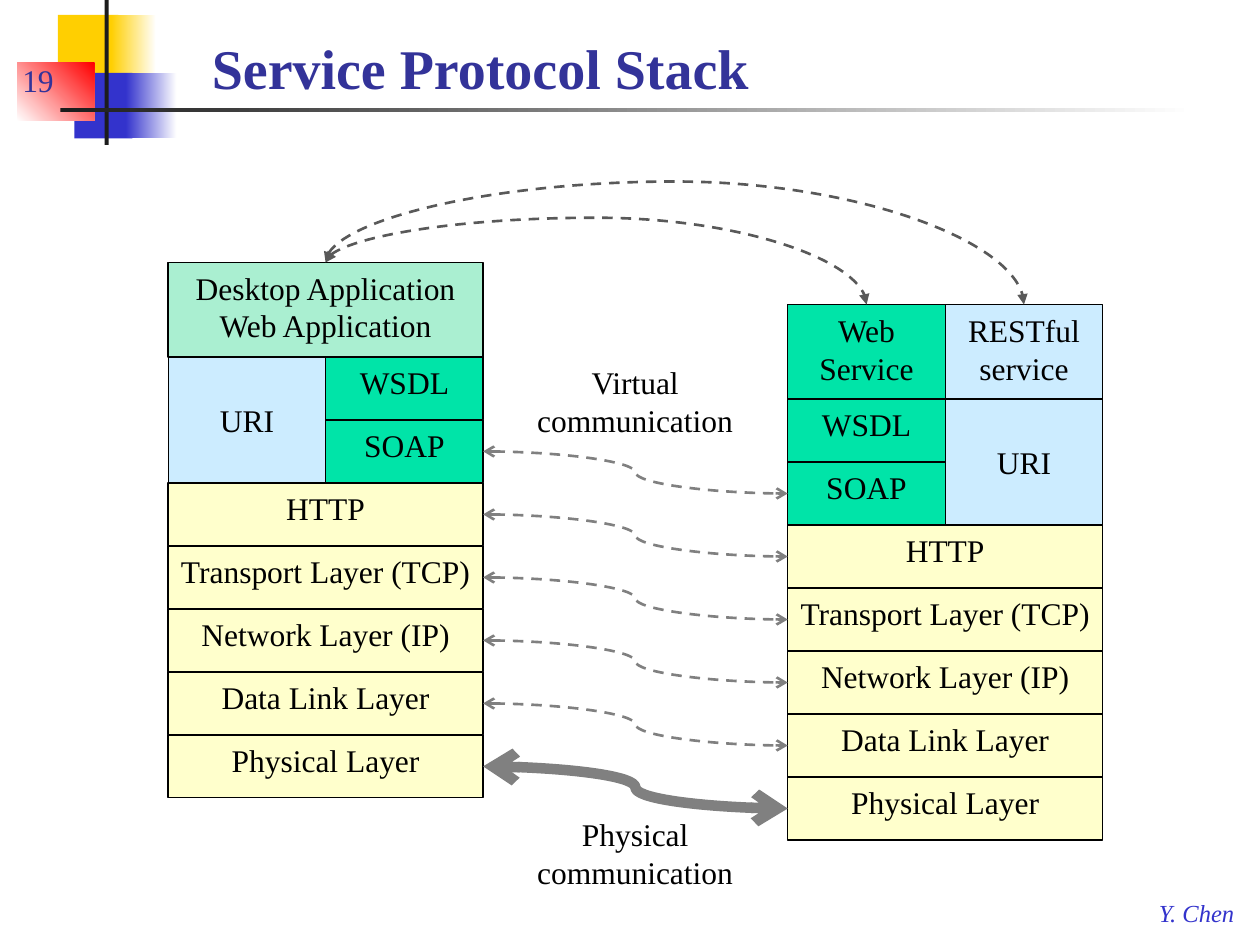
from dataclasses import dataclass

from pptx import Presentation
from pptx import util as u
from pptx.dml.color import RGBColor
from pptx.enum import dml, shapes, text
from pptx.oxml import ns
from lxml import etree


@dataclass(frozen=True)
class Theme:
    font: str = "Times New Roman"
    title_size: int = 32
    body_size: int = 18
    footer_size: int = 14
    ink: str = "000000"
    title: str = "333399"
    white: str = "FFFFFF"
    yellow: str = "FFCF01"
    blue: str = "3333CC"
    red: str = "FF0000"
    bar: str = "1C1C1C"
    network: str = "FFFFCC"
    soap: str = "00E4A8"
    rest: str = "CCECFF"
    application: str = "AAEFD1"
    link: str = "808080"
    arc: str = "595959"


THEME = Theme()

# left, top, width, height in cm; colours; gradient angle
DECORATION = [
    (1.17, 0.3, 1.22, 1.32, [THEME.yellow], 0),
    (2.24, 0.3, 0.91, 1.32, [THEME.yellow, THEME.white], 0),
    (1.5, 1.47, 1.17, 1.32, [THEME.blue], 0),
    (2.54, 1.47, 1.02, 1.32, [THEME.blue, THEME.white], 0),
    (0.35, 1.27, 1.55, 1.17, [THEME.white, THEME.red], 45),
    (2.11, 0, 0.08, 2.92, [THEME.bar], 0),
    (1.22, 2.18, 22.86, 0.08, [THEME.bar, THEME.white], 0),
]

ROW, COLUMN_COUNT, STACK_WIDTH = 1.27, 2, 6.35
COLUMN = STACK_WIDTH / COLUMN_COUNT
TOP_ROWS, MIDDLE_ROWS = 1.5, 2
SHARED_LAYERS = ["HTTP", "Transport Layer (TCP)", "Network Layer (IP)",
                 "Data Link Layer", "Physical Layer"]

# label, colour, first column, columns, first row, rows
CLIENT = [
    ("Desktop Application\nWeb Application", THEME.application, 0, 2, 0, TOP_ROWS),
    ("URI", THEME.rest, 0, 1, TOP_ROWS, MIDDLE_ROWS),
    ("WSDL", THEME.soap, 1, 1, TOP_ROWS, 1),
    ("SOAP", THEME.soap, 1, 1, TOP_ROWS + 1, 1),
]
SERVER = [
    ("Web Service", THEME.soap, 0, 1, 0, TOP_ROWS),
    ("RESTful service", THEME.rest, 1, 1, 0, TOP_ROWS),
    ("WSDL", THEME.soap, 0, 1, TOP_ROWS, 1),
    ("SOAP", THEME.soap, 0, 1, TOP_ROWS + 1, 1),
    ("URI", THEME.rest, 1, 1, TOP_ROWS, MIDDLE_ROWS),
]
ARCS = [("Web Service", 0.9), ("RESTful service", 1.63)]  # target, rise in cm
CAPTIONS = [("Physical communication", 16.3), ("Virtual communication", 7.2)]


def place(left, top, width, height):
    return [u.Cm(value) for value in (left, top, width, height)]


def write(shape, content, size=THEME.body_size, color=THEME.ink, align="CENTER",
          anchor="TOP", wrap=True, spacing=None, bold=False, italic=False):
    frame = shape.text_frame
    frame.word_wrap = wrap
    frame.vertical_anchor = text.MSO_ANCHOR[anchor]
    for index, line in enumerate(content.split("\n")):
        paragraph = frame.add_paragraph() if index else frame.paragraphs[0]
        paragraph.alignment = text.PP_ALIGN[align]
        if spacing:
            paragraph.line_spacing = spacing
        run = paragraph.add_run()
        run.text = line
        font = run.font
        font.name, font.size = THEME.font, u.Pt(size)
        font.bold, font.italic = bold, italic
        font.color.rgb = RGBColor.from_string(color)


def add_label(slide, content, box, **style):
    write(slide.shapes.add_textbox(*place(*box)), content, **style)


def add_rectangle(slide, box, colors, angle=0):
    shape = slide.shapes.add_shape(shapes.MSO_SHAPE.RECTANGLE, *place(*box))
    shape.shadow.inherit = False
    shape.line.fill.background()
    if len(colors) == 1:
        shape.fill.solid()
        shape.fill.fore_color.rgb = RGBColor.from_string(colors[0])
    else:
        shape.fill.gradient()
        shape.fill.gradient_angle = angle
        for stop, color in zip(shape.fill.gradient_stops, colors):
            stop.color.rgb = RGBColor.from_string(color)
    return shape


def add_stack(slide, left, top, upper_layers):
    """Draw one protocol stack and return its boxes by label."""
    first = TOP_ROWS + MIDDLE_ROWS
    layers = upper_layers + [(label, THEME.network, 0, COLUMN_COUNT, first + index, 1)
                             for index, label in enumerate(SHARED_LAYERS)]
    boxes = {}
    for label, color, column, columns, row, rows in layers:
        box = (left + column * COLUMN, top + row * ROW, columns * COLUMN, rows * ROW)
        shape = add_rectangle(slide, box, [color])
        shape.line.color.rgb = RGBColor.from_string(THEME.ink)
        shape.line.width = u.Pt(0.75)
        write(shape, label, spacing=2.0 if label == "URI" else None)
        boxes[label] = shape
    return boxes


def add_link(slide, start, start_side, end, end_side, color, arrowhead,
             width=1.5, dashed=True):
    connector = slide.shapes.add_connector(shapes.MSO_CONNECTOR.CURVE, 0, 0, 0, 0)
    connector.begin_connect(start, start_side)
    connector.end_connect(end, end_side)
    connector.line.color.rgb = RGBColor.from_string(color)
    connector.line.width = u.Pt(width)
    if dashed:
        connector.line.dash_style = dml.MSO_LINE.DASH
    properties = connector._element.spPr
    outline = properties.find(ns.qn("a:ln"))
    for tag in ("a:headEnd", "a:tailEnd"):
        etree.SubElement(outline, ns.qn(tag), type=arrowhead)
    etree.SubElement(properties, ns.qn("a:effectLst"))
    return connector


def bend_upwards(connector, rise):
    """Turn the connector a quarter so that its curve passes above both ends."""
    width, height = connector.width, connector.height
    connector.left += (width - height) // 2
    connector.top += (height - width) // 2
    connector.width, connector.height = height, width
    properties = connector._element.spPr
    transform = properties.find(ns.qn("a:xfrm"))
    transform.set("rot", str(270 * 60000))
    transform.set("flipH", "1")
    geometry = properties.find(ns.qn("a:prstGeom"))
    adjustments = geometry.find(ns.qn("a:avLst"))
    if adjustments is None:
        adjustments = etree.SubElement(geometry, ns.qn("a:avLst"))
    ratio = round(-100000 * u.Cm(rise) / height)
    etree.SubElement(adjustments, ns.qn("a:gd"), name="adj1", fmla=f"val {ratio}")


def main():
    presentation = Presentation()
    presentation.slide_width, presentation.slide_height = u.Cm(25.4), u.Cm(19.05)
    slide = presentation.slides.add_slide(presentation.slide_layouts[6])

    for *box, colors, angle in DECORATION:
        add_rectangle(slide, box, colors, angle)
    add_label(slide, "Y. Chen", (23.11, 17.98, 2.08, 0.84), size=THEME.footer_size,
              color=THEME.blue, align="LEFT", wrap=False, italic=True)
    add_label(slide, "Service Protocol Stack", (4.02, 0.43, 21.16, 1.73),
              size=THEME.title_size, color=THEME.title, align="LEFT",
              anchor="BOTTOM", bold=True)
    add_label(slide, "19", (0.2, 0.84, 2.34, 1.27), color=THEME.title,
              align="LEFT", anchor="BOTTOM")

    server = add_stack(slide, 15.88, 6.14, SERVER)
    client = add_stack(slide, 3.39, 5.29, CLIENT)

    for label in ["SOAP"] + SHARED_LAYERS:
        physical = label == "Physical Layer"
        add_link(slide, client[label], 3, server[label], 1, THEME.link, "arrow",
                 width=6 if physical else 1.5, dashed=not physical)
    application = client[CLIENT[0][0]]
    for target, rise in ARCS:
        arc = add_link(slide, application, 0, server[target], 0, THEME.arc, "triangle")
        bend_upwards(arc, rise)

    for caption, top in CAPTIONS:
        add_label(slide, caption, (10.16, top, 5.29, 1.8))

    presentation.save("out.pptx")


if __name__ == "__main__":
    main()
